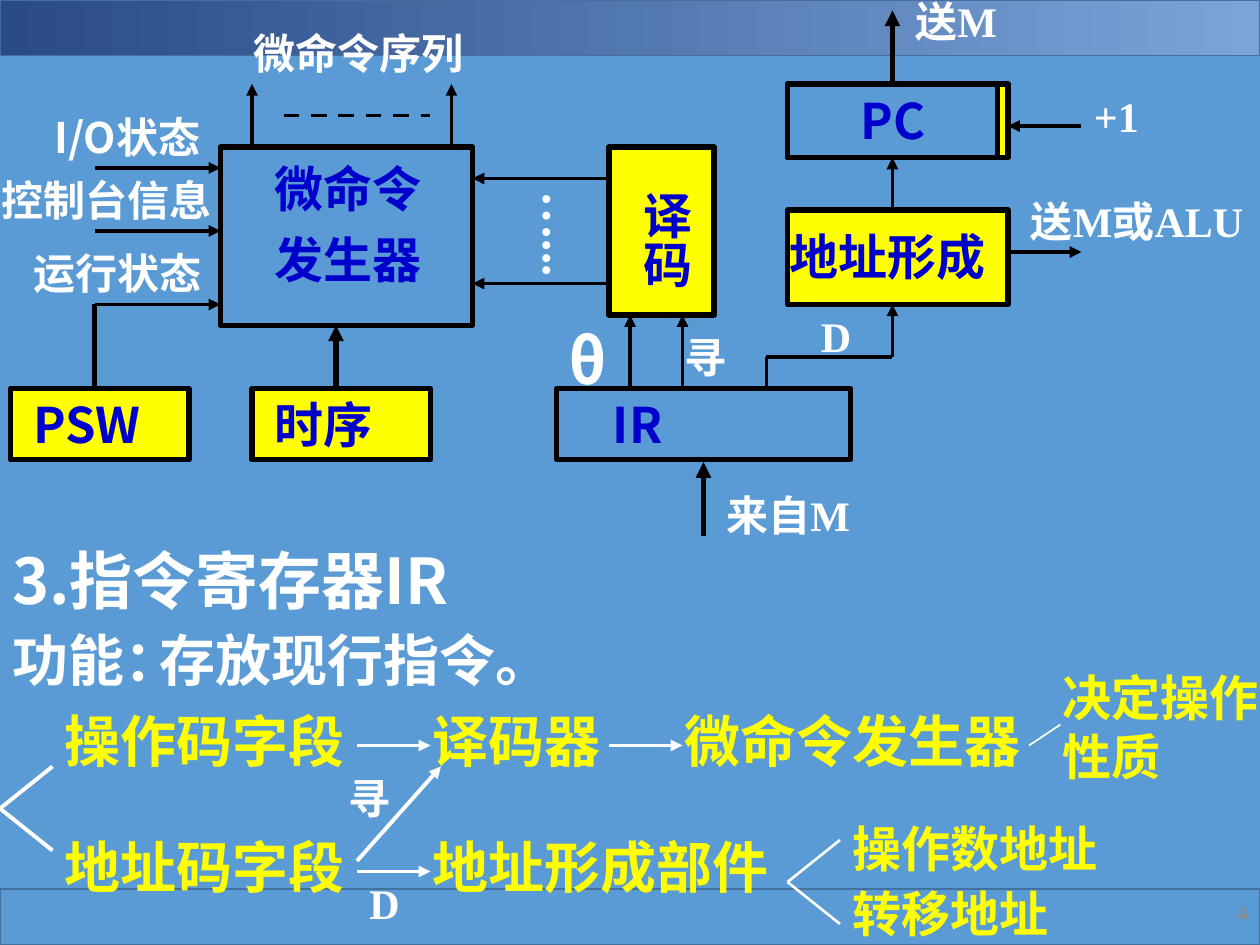
"""Builds the slide on the instruction register IR and its data paths."""
from pptx import Presentation
from pptx.dml.color import RGBColor as Rgb
from pptx.enum.dml import MSO_LINE as Dash
from pptx.enum.shapes import MSO_CONNECTOR as Connector, MSO_SHAPE as Shape
from pptx.enum.text import PP_ALIGN as Align
from pptx.oxml.ns import qn
from pptx.util import Pt
from lxml.etree import SubElement

PX = 7620
SANS, SERIF = "Noto Sans CJK SC", "Times New Roman"
THEME = {
    "sky": Rgb.from_string("5B9BD5"), "edge": Rgb.from_string("41719C"),
    "navy": Rgb.from_string("2A4B86"), "haze": Rgb.from_string("7BA4D9"),
    "white": Rgb.from_string("FFFFFF"), "yellow": Rgb.from_string("FFFF00"),
    "black": Rgb.from_string("000000"), "blue": Rgb.from_string("0000CC"),
    "grey": Rgb.from_string("8B8B8B"),
    "title": 36, "body": 32, "block": 28, "label": 24, "number": 12,
}

deck = Presentation()
deck.slide_width, deck.slide_height = 1200 * PX, 900 * PX
slide = deck.slides.add_slide(deck.slide_layouts[6])
slide.background.fill.solid()
slide.background.fill.fore_color.rgb = THEME["sky"]


def add_box(left, top, width, height, fill, edge="black", weight=3):
    box = slide.shapes.add_shape(Shape.RECTANGLE, *(v * PX for v in (left, top, width, height)))
    box.shadow.inherit = False
    box.fill.solid()
    box.fill.fore_color.rgb = THEME[fill]
    box.line.color.rgb = THEME[edge]
    box.line.width = Pt(weight)
    return box


def add_text(words, left, top, width, height, size, colour, face=SERIF,
             spacing=None, vertical=False, align=Align.LEFT):
    frame = slide.shapes.add_textbox(*(v * PX for v in (left, top, width, height))).text_frame
    frame.word_wrap = True
    sides, ends = (6, 12) if vertical else (12, 6)
    layout = {"margin_left": sides, "margin_right": sides, "margin_top": ends, "margin_bottom": ends}
    for name, value in layout.items():
        setattr(frame, name, value * PX)
    if vertical:
        frame._txBody.bodyPr.set("vert", "eaVert")
    for row, line in enumerate(words.split("\n")):
        paragraph = frame.paragraphs[0] if row == 0 else frame.add_paragraph()
        paragraph.alignment = align
        if spacing:
            paragraph.line_spacing = spacing
        if row:
            paragraph.space_before = Pt(THEME[size] * 0.625)
        run = paragraph.add_run()
        run.text = line
        run.font.color.rgb = THEME[colour]
        style = {"name": face, "size": Pt(THEME[size]), "bold": True}
        for name, value in style.items():
            setattr(run.font, name, value)
        SubElement(run.font._element, qn("a:ea"), typeface=SANS)


add_box(0, 847, 1200, 53, "sky", "edge", 1)
header = add_box(0, 0, 1200, 53, "sky", "edge", 1)
header.fill.gradient()
header.fill.gradient_angle = 0
for stop, shade in zip(header.fill.gradient_stops, ("navy", "haze")):
    stop.color.rgb = THEME[shade]

paths = [
    ("black", 2.25, True, [
        (240, 140, 240, 80), (430, 140, 430, 80),
        (90, 160, 210, 160), (90, 220, 210, 220), (90, 290, 210, 290),
        (580, 170, 450, 170), (580, 270, 450, 270),
        (600, 370, 600, 300), (650, 370, 650, 300),
        (850, 200, 850, 150), (850, 340, 850, 290),
        (1030, 120, 960, 120), (960, 240, 1030, 240)]),
    ("black", 2.25, False, [(730, 370, 730, 340), (730, 340, 850, 340)]),
    ("black", 3, True, [(320, 380, 320, 310), (670, 510, 670, 440), (850, 80, 850, 10)]),
    ("black", 3, False, [(90, 290, 90, 370)]),
    ("white", 2.25, True, [
        (340, 710, 410, 710), (580, 710, 650, 710),
        (340, 830, 410, 830), (340, 820, 420, 730)]),
    ("white", 2.25, False, [(50, 730, 0, 770), (0, 770, 50, 810)]),
    ("white", 1.5, False, [(800, 800, 750, 840), (750, 840, 800, 880)]),
    ("white", 1, False, [(980, 710, 1010, 690)]),
    ("black", 2.25, False, [(270, 110, 410, 110)]),
]
for colour, weight, arrow, segments in paths:
    for segment in segments:
        wire = slide.shapes.add_connector(Connector.STRAIGHT, *(v * PX for v in segment))
        wire.line.color.rgb = THEME[colour]
        wire.line.width = Pt(weight)
        if arrow:
            SubElement(wire.line._get_or_add_ln(), qn("a:tailEnd"), type="triangle")
        SubElement(wire._element.spPr, qn("a:effectLst"))
wire.line.dash_style = Dash.DASH

blocks = [
    (750, 80, 210, 70, "yellow"), (750, 80, 200, 70, "sky"),
    (750, 200, 210, 90, "yellow"), (580, 140, 100, 160, "yellow"),
    (210, 140, 240, 170, "sky"), (10, 370, 170, 68, "yellow"),
    (240, 370, 170, 68, "yellow"), (530, 370, 280, 68, "sky"),
]
for block in blocks:
    add_box(*block)

for words, left, top, width in [
        ("PC", 808, 80, 142), ("PSW", 20, 370, 160),
        ("时序", 250, 370, 160), ("IR", 572, 370, 238), ("地址形成", 740, 210, 270)]:
    add_text(words, left, top, width, 68, "block", "blue", SANS)
add_text("微命令\n发生器", 250, 160, 170, 120, "block", "blue", spacing=0.7)
add_text("译码", 590, 170, 79, 130, "block", "blue", vertical=True)
add_text("…...", 491, 170, 79, 130, "block", "white", vertical=True)

for words, left, top, width in [
        ("微命令序列", 230, 20, 230), ("控制台信息", -10, 160, 230),
        ("运行状态", 20, 230, 230), ("D", 770, 290, 130), ("寻", 640, 310, 130),
        ("来自M", 680, 460, 230), ("送M或ALU", 970, 180, 230), ("+1", 1030, 80, 130),
        ("送M", 860, -10, 130), ("寻", 320, 730, 100), ("D", 340, 830, 100)]:
    add_text(words, left, top, width, 60, "label", "white")
add_text("I/O状态", 40, 100, 190, 60, "label", "white", SANS)
add_text("θ", 530, 300, 150, 84, "title", "white", SANS)

add_text("3.指令寄存器IR", 0, 510, 550, 84, "title", "white", SANS)
add_text("功能：", 0, 590, 200, 77, "body", "white")
add_text("存放现行指令。", 140, 590, 440, 77, "body", "white")
for words, left, top, width in [
        ("操作码字段", 50, 690, 320), ("译码器", 400, 690, 220),
        ("微命令发生器", 640, 690, 390),
        ("地址码字段", 50, 810, 320), ("地址形成部件", 400, 810, 440)]:
    add_text(words, left, top, width, 50, "body", "yellow", spacing=0.6)
add_text("决定操作性质", 1000, 630, 230, 125, "block", "yellow", SANS)
add_text("操作数地址\n转移地址", 800, 793, 350, 109, "block", "yellow", spacing=0.6)
add_text("4", 1140, 851, 60, 36, "number", "grey", align=Align.RIGHT)

deck.save("out.pptx")
